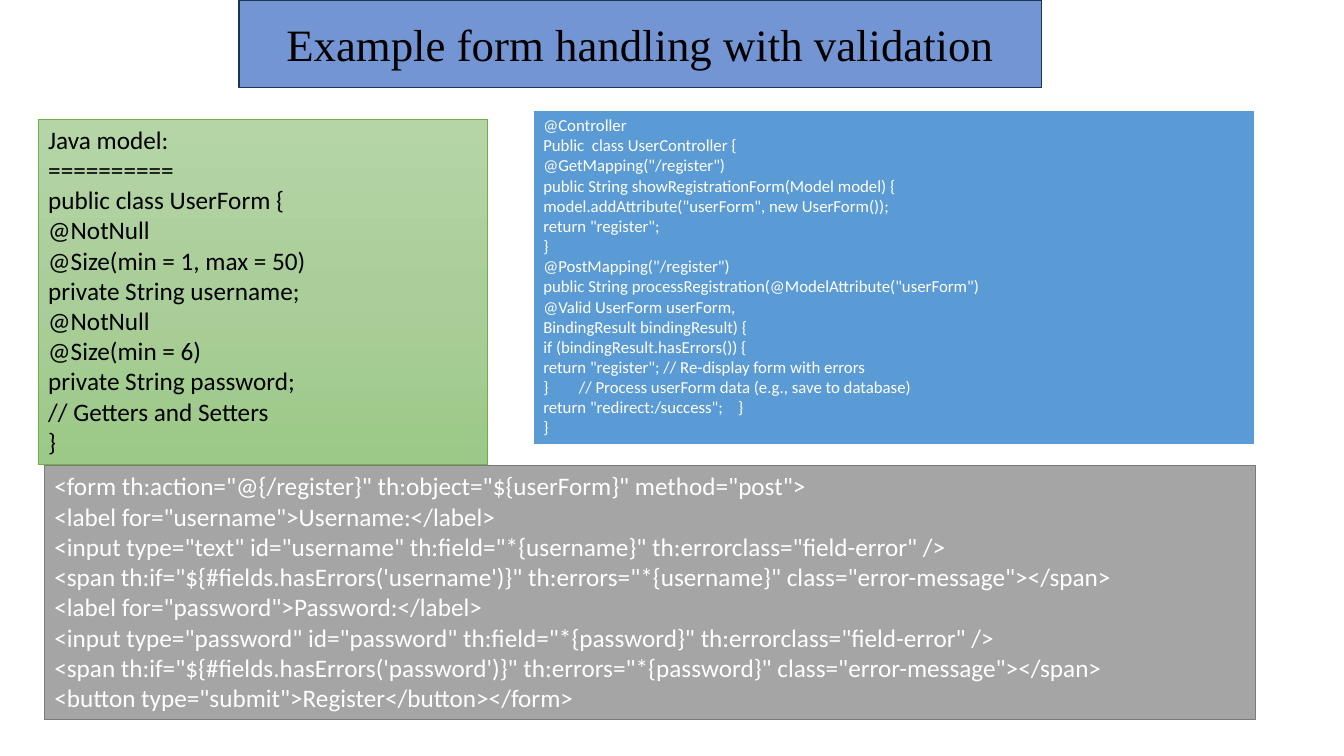
import copy
from dataclasses import dataclass

import pptx
import pptx.dml.color
import pptx.enum.shapes
import pptx.enum.text
import pptx.oxml.ns
import pptx.util

Inches = pptx.util.Inches
Pt = pptx.util.Pt


@dataclass(frozen=True)
class Theme:
    title_font: str = "Times New Roman"
    code_font: str = "Calibri"
    title_size: int = 32
    code_size: int = 18
    small_code_size: int = 12
    black: str = "000000"
    white: str = "FFFFFF"
    title_fill: str = "7395D3"
    title_line: str = "1E3256"
    model_fill: tuple = ((0, "B5D5A7"), (0.5, "AACE9A"), (1, "9CC987"))
    model_line: str = "70AD47"
    controller_fill: str = "5B9BD5"
    form_fill: str = "A5A5A5"
    form_line: str = "7A7A7A"


THEME = Theme()

MODEL_CODE = """Java model:
==========
public class UserForm {
@NotNull
@Size(min = 1, max = 50)
private String username;
@NotNull
@Size(min = 6)
private String password;
// Getters and Setters
}"""

CONTROLLER_CODE = """@Controller
Public  class UserController {
@GetMapping("/register")
public String showRegistrationForm(Model model) {
model.addAttribute("userForm", new UserForm());
return "register";
}
@PostMapping("/register")
public String processRegistration(@ModelAttribute("userForm")
@Valid UserForm userForm,
BindingResult bindingResult) {
if (bindingResult.hasErrors()) {
return "register"; // Re-display form with errors
}        // Process userForm data (e.g., save to database)
return "redirect:/success";    }
}"""

FORM_CODE = """<form th:action="@{/register}" th:object="${userForm}" method="post">
<label for="username">Username:</label>
<input type="text" id="username" th:field="*{username}" th:errorclass="field-error" />
<span th:if="${#fields.hasErrors('username')}" th:errors="*{username}" class="error-message"></span>
<label for="password">Password:</label>
<input type="password" id="password" th:field="*{password}" th:errorclass="field-error" />
<span th:if="${#fields.hasErrors('password')}" th:errors="*{password}" class="error-message"></span>
<button type="submit">Register</button></form>"""


def rgb(value):
    return pptx.dml.color.RGBColor.from_string(value)


def fill_gradient(panel, stops):
    """Shade the panel from top to bottom through three colours."""
    panel.fill.gradient()
    panel.fill.gradient_angle = 270
    stop_list = panel.element.spPr.find(".//" + pptx.oxml.ns.qn("a:gsLst"))
    stop_list.insert(1, copy.deepcopy(stop_list[0]))
    for stop, (position, color) in zip(panel.fill.gradient_stops, stops):
        stop.color.rgb = rgb(color)
        stop.position = position


def add_panel(page, box, text, fill, line, line_width, font, size, color):
    """Place a bordered rectangle with left-aligned text at its top."""
    panel = page.shapes.add_shape(
        pptx.enum.shapes.MSO_SHAPE.RECTANGLE, *map(Inches, box))
    panel.shadow.inherit = False
    if isinstance(fill, str):
        panel.fill.solid()
        panel.fill.fore_color.rgb = rgb(fill)
    else:
        fill_gradient(panel, fill)
    panel.line.color.rgb = rgb(line)
    panel.line.width = Pt(line_width)

    frame = panel.text_frame
    frame.word_wrap = True
    frame.vertical_anchor = pptx.enum.text.MSO_ANCHOR.TOP
    frame.text = text
    for para in frame.paragraphs:
        para.alignment = pptx.enum.text.PP_ALIGN.LEFT
        for span in para.runs:
            span.font.name = font
            span.font.size = Pt(size)
            span.font.color.rgb = rgb(color)
    return panel


def add_title(page, box):
    banner = add_panel(page, box, "Example form handling with validation",
                       THEME.title_fill, THEME.title_line, 1,
                       THEME.title_font, THEME.title_size, THEME.black)
    banner.text_frame.vertical_anchor = pptx.enum.text.MSO_ANCHOR.MIDDLE
    banner.text_frame.paragraphs[0].alignment = pptx.enum.text.PP_ALIGN.CENTER


def add_code(page, box, code, fill, line, line_width, size, color):
    panel = add_panel(page, box, code, fill, line, line_width,
                      THEME.code_font, size, color)
    panel.text_frame.auto_size = pptx.enum.text.MSO_AUTO_SIZE.SHAPE_TO_FIT_TEXT


def main():
    deck = pptx.Presentation()
    deck.slide_width = Inches(13.33)
    deck.slide_height = Inches(7.5)
    page = deck.slides.add_slide(deck.slide_layouts[6])

    # Title banner
    add_title(page, (2.37, 0, 7.96, 0.87))
    # Java model
    add_code(page, (0.38, 1.18, 4.45, 3.43), MODEL_CODE, THEME.model_fill,
             THEME.model_line, 0.5, THEME.code_size, THEME.black)
    # Controller
    add_code(page, (5.29, 1.09, 7.16, 3.33), CONTROLLER_CODE,
             THEME.controller_fill, THEME.white, 1.5,
             THEME.small_code_size, THEME.white)
    # HTML form
    add_code(page, (0.44, 4.62, 12.01, 2.52), FORM_CODE, THEME.form_fill,
             THEME.form_line, 1, THEME.code_size, THEME.white)

    deck.save("out.pptx")


if __name__ == "__main__":
    main()
